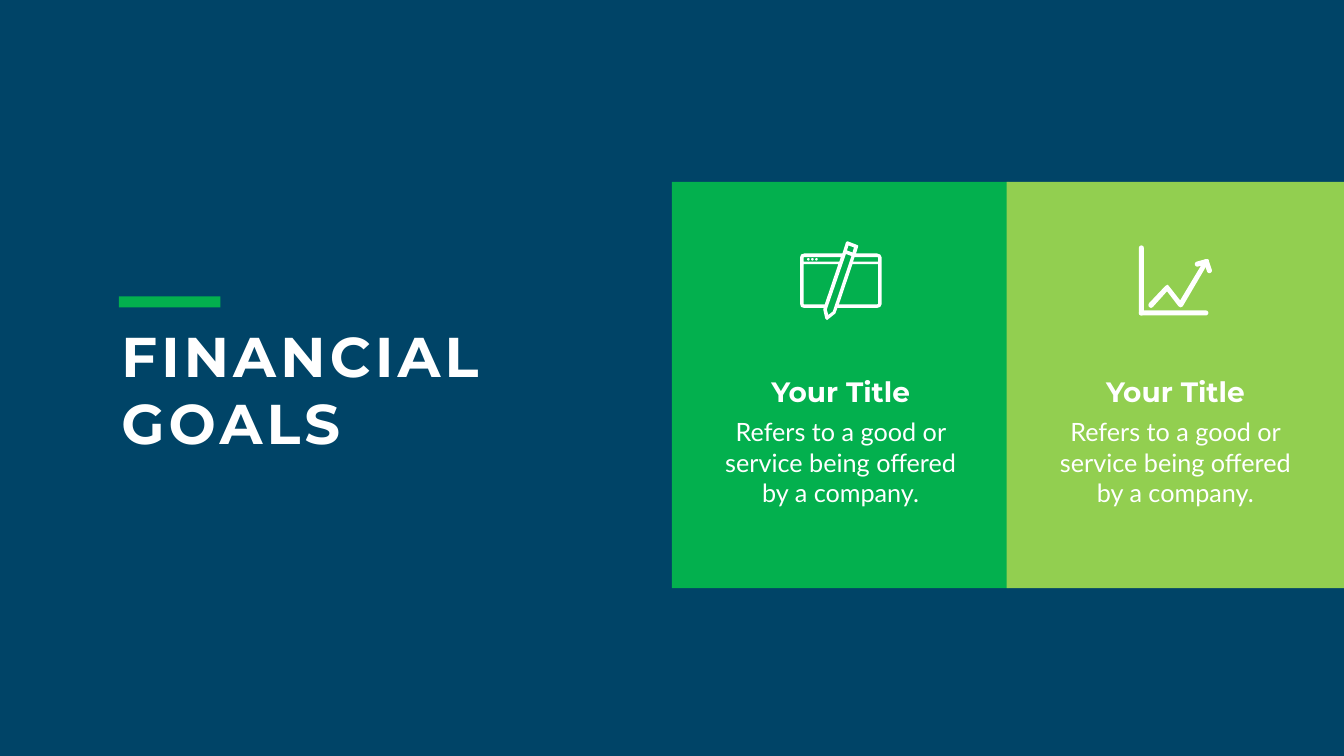
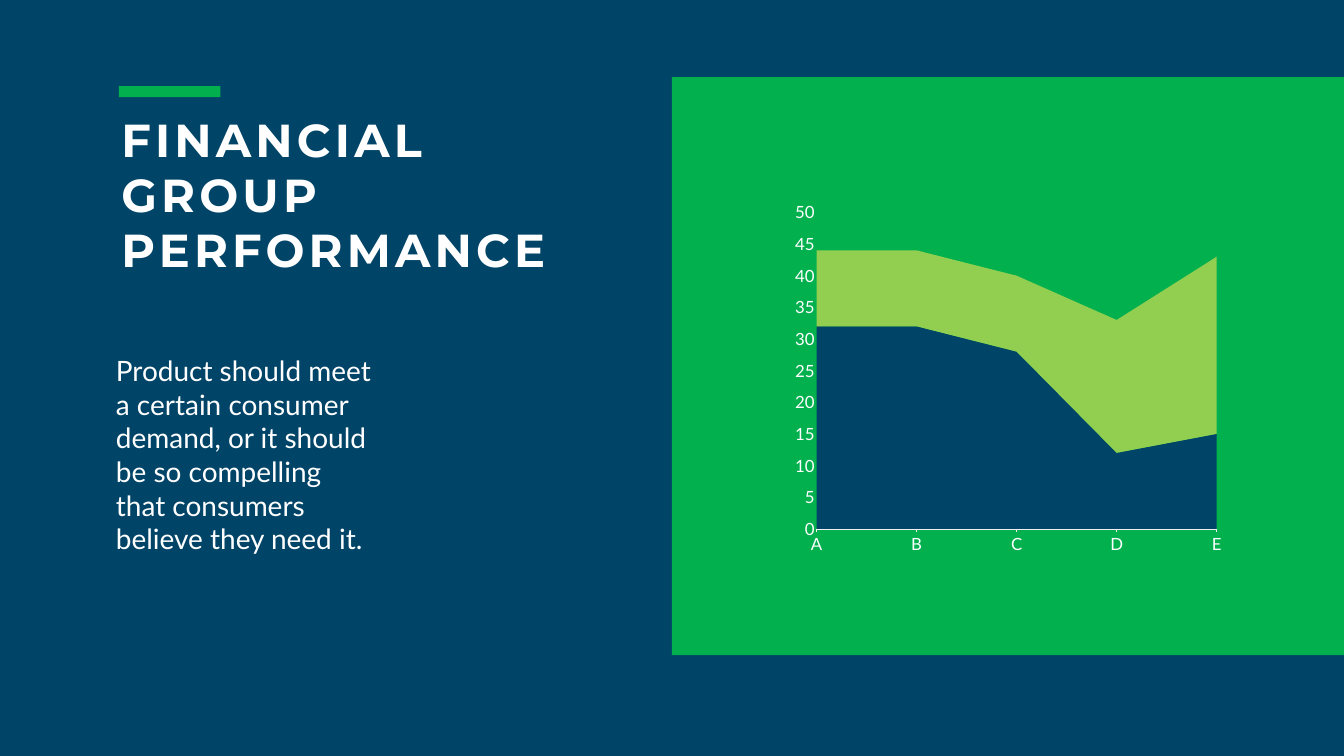
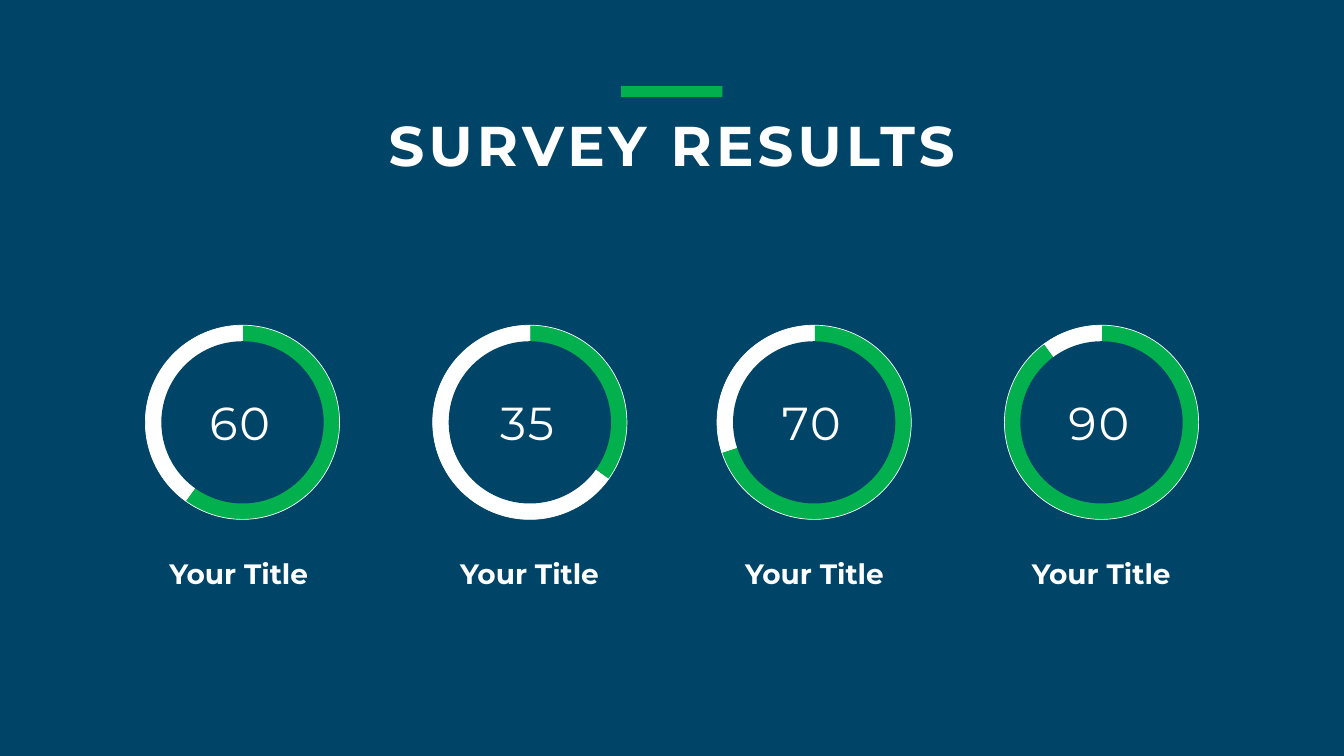
from math import atan2, cos, pi, sin

from lxml.etree import SubElement
from pptx import Presentation
from pptx.chart.data import CategoryChartData
from pptx.dml.color import RGBColor
from pptx.enum.chart import XL_CHART_TYPE, XL_TICK_MARK
from pptx.enum.shapes import MSO_SHAPE
from pptx.enum.text import MSO_AUTO_SIZE, PP_ALIGN
from pptx.oxml.ns import qn
from pptx.util import Inches, Pt

COLORS = {"navy": "004467", "green": "03B04E", "lime": "92CF50", "white": "FFFFFF", "axis": "F0F0F0"}
WIDTH, HEIGHT = 26.66, 15
MIDDLE = WIDTH / 2

HEADING = {"name": "Montserrat", "bold": True}
LABEL = {"name": "Montserrat", "size": Pt(40), "bold": True}
NUMBER = {"name": "Montserrat", "size": Pt(66)}
BODY = {"name": "Lato", "size": Pt(36)}
BODY_LARGE = {"name": "Lato", "size": Pt(40)}
AXIS_TEXT = {"name": "Lato", "size": Pt(24)}
BODY_MARGINS = {"margin_left": Inches(0.24), "margin_right": Inches(0.24),
                "margin_top": Inches(0.12), "margin_bottom": Inches(0.12)}

WINDOW_AND_PENCIL = [
    [(17.4, 6.04), (16.64, 6.04), (16.91, 5.24), (17.42, 5.24), (17.42, 6.03)],
    [(16.43, 6.25), (16.4, 6.14), (16.78, 5.04), (16.89, 5.08), (16.52, 6.18)],
    [(15.95, 6.04), (15.94, 6.03), (15.94, 5.24), (16.63, 5.24), (16.36, 6.04)],
    [(15.95, 5.1), (16.68, 5.1), (16.65, 5.19), (15.94, 5.19), (15.94, 5.11)],
    [(16.83, 4.87), (16.94, 4.91), (16.91, 5.01), (16.8, 4.97)],
    [(17.42, 5.11), (17.42, 5.19), (16.92, 5.19), (16.95, 5.1), (17.4, 5.1)],
    [(17.4, 5.03), (16.98, 5.03), (17.02, 4.9), (17.02, 4.87), (17, 4.86), (16.82, 4.79),
     (16.8, 4.79), (16.78, 4.81), (16.71, 5.03), (15.95, 5.03), (15.89, 5.05), (15.87, 5.11),
     (15.87, 6.03), (15.89, 6.09), (15.95, 6.11), (16.34, 6.11), (16.33, 6.14), (16.37, 6.32),
     (16.4, 6.35), (16.42, 6.34), (16.57, 6.22), (16.61, 6.11), (17.4, 6.11), (17.46, 6.09),
     (17.49, 6.03), (17.49, 5.11), (17.46, 5.05)],
]
ZIGZAG = [(23.42, 6.1), (23.38, 6.08), (23.15, 5.78), (22.87, 6.09), (22.83, 6.11), (22.79, 6.09),
          (22.78, 6.05), (22.79, 6.02), (23.12, 5.67), (23.16, 5.65), (23.19, 5.68), (23.41, 5.96),
          (23.89, 5.16), (23.92, 5.14), (23.96, 5.14), (23.98, 5.17), (23.97, 5.21), (23.46, 6.08)]
CHART_ICON_BARS = [(22.64, 4.92, 22.64, 6.21), (22.64, 6.21, 23.92, 6.21),
                   (23.93, 5.19, 23.99, 5.37), (23.93, 5.19, 23.75, 5.24)]


def rgb(name):
    return RGBColor.from_string(COLORS[name])


def box(left, top, width, height):
    return [Inches(v) for v in (left, top, width, height)]


def apply(target, values):
    for key, value in values.items():
        setattr(target, key, value)


def paint(sp, color):
    sp.shadow.inherit = False
    sp.fill.solid()
    sp.fill.fore_color.rgb = rgb(color)
    sp.line.fill.background()


def add_block(s, at, color, kind=MSO_SHAPE.RECTANGLE):
    paint(s.shapes.add_shape(kind, *box(*at)), color)


def add_outline(s, contours, color="white"):
    contours = [[(Inches(x), Inches(y)) for x, y in c] for c in contours]
    fb = s.shapes.build_freeform(*contours[0][0])
    fb.add_line_segments(contours[0][1:])
    for contour in contours[1:]:
        fb.move_to(*contour[0])
        fb.add_line_segments(contour[1:])
    paint(fb.convert_to_shape(), color)


def add_round_bar(s, x1, y1, x2, y2, radius=0.05):
    angle = atan2(y2 - y1, x2 - x1)
    points = []
    for x, y, start in ((x2, y2, angle - pi / 2), (x1, y1, angle + pi / 2)):
        turns = [start + i * pi / 6 for i in range(7)]
        points += [(x + radius * cos(a), y + radius * sin(a)) for a in turns]
    add_outline(s, [points])


def add_text(s, at, text, font, align=PP_ALIGN.LEFT, margins=None, spacing=0):
    tf = s.shapes.add_textbox(*box(*at)).text_frame
    apply(tf, {"word_wrap": True, "auto_size": MSO_AUTO_SIZE.SHAPE_TO_FIT_TEXT, **(margins or {})})
    p = tf.paragraphs[0]
    p.alignment = align
    r = p.add_run()
    r.text = text
    apply(r.font, font)
    r.font.color.rgb = rgb("white")
    if spacing:
        r.font._element.set("spc", str(spacing * 100))


def add_title(s, at, text, size, bar_left=2.36, align=PP_ALIGN.LEFT):
    add_text(s, at, text, {**HEADING, "size": Pt(size)}, align, spacing=6)
    add_block(s, (bar_left, at[1] - 0.44, 2.01, 0.22), "green")


def add_slide(prs):
    s = prs.slides.add_slide(prs.slide_layouts[6])
    add_block(s, (0, 0, WIDTH, HEIGHT), "navy")
    return s


def add_chart(s, kind, at, cats, series, plot):
    data = CategoryChartData()
    data.categories = cats
    for name, values in series:
        data.add_series(name, values)
    chart = s.shapes.add_chart(kind, *box(*at), data).chart
    apply(chart, {"has_title": False, "has_legend": False})
    apply(chart.font, AXIS_TEXT)
    chart.font.color.rgb = rgb("white")
    area = chart._chartSpace.chart.plotArea
    for old in area.findall(qn("c:layout")):
        area.remove(old)
    layout = SubElement(area, qn("c:layout"))
    area.insert(0, layout)
    manual = SubElement(layout, qn("c:manualLayout"))
    values = {"layoutTarget": "inner", "xMode": "edge", "yMode": "edge", **dict(zip("xywh", plot))}
    for tag, value in values.items():
        SubElement(manual, qn(f"c:{tag}")).set("val", str(value))
    return chart


def add_area_chart(s):
    series = [("Series 1", (32, 32, 28, 12, 15)), ("Series 2", (12, 12, 12, 21, 28))]
    chart = add_chart(s, XL_CHART_TYPE.AREA_STACKED, (15.58, 3.85, 8.82, 7.3),
                      list("ABCDE"), series, (0.07, 0.05, 0.9, 0.86))
    for ser, color in zip(chart.plots[0].series, ("navy", "lime")):
        ser.format.fill.solid()
        ser.format.fill.fore_color.rgb = rgb(color)
    cat, val = chart.category_axis, chart.value_axis
    for axis, tick in ((cat, XL_TICK_MARK.OUTSIDE), (val, XL_TICK_MARK.NONE)):
        apply(axis, {"major_tick_mark": tick, "minor_tick_mark": XL_TICK_MARK.NONE,
                     "has_major_gridlines": False})
        apply(axis.tick_labels.font, AXIS_TEXT)
        axis.tick_labels.font.color.rgb = rgb("white")
    cat.format.line.color.rgb = rgb("axis")
    cat.format.line.width = Pt(0.75)
    val.format.line.fill.background()
    apply(val, {"minimum_scale": 0, "maximum_scale": 50, "major_unit": 5})
    val._element.find(qn("c:crossBetween")).set("val", "midCat")


def add_ring(s, value, left, label_left):
    chart = add_chart(s, XL_CHART_TYPE.PIE, (left, 6.33, 4.96, 4.1), ["1", "2"],
                      [("Series 1", (value, 100 - value))], (0.11, 0.03, 0.78, 0.94))
    chart.plots[0].vary_by_categories = True
    for i, color in enumerate(("green", "white")):
        fmt = chart.plots[0].series[0].points[i].format
        fmt.fill.solid()
        fmt.fill.fore_color.rgb = rgb(color)
        fmt.line.color.rgb = rgb("white")
        fmt.line.width = Pt(1)
    add_block(s, (left + 0.87, 6.77, 3.22, 3.22), "navy", MSO_SHAPE.OVAL)
    add_text(s, (left + 0.87, 7.78, 3.11, 1.21), str(value), NUMBER, PP_ALIGN.CENTER, spacing=3)
    add_text(s, (label_left, 10.99, 4.15, 0.77), "Your Title", LABEL, PP_ALIGN.CENTER)


def add_card(s, left, color):
    add_block(s, (left, 3.61, 6.69, 8.06), color)
    add_text(s, (left + 0.51, 8.15, 5.67, 2.06),
             "Refers to a good or service being offered by a company.",
             BODY, PP_ALIGN.CENTER, BODY_MARGINS)
    add_text(s, (left + 0.51, 7.38, 5.67, 0.77), "Your Title", LABEL, PP_ALIGN.CENTER)


def build_goals(prs):
    s = add_slide(prs)
    add_title(s, (2.31, 6.32, 7.54, 2.79), "FINANCIAL GOALS", 80)
    for left, color in ((MIDDLE, "green"), (19.97, "lime")):
        add_card(s, left, color)
    add_outline(s, WINDOW_AND_PENCIL)
    for i in range(3):
        add_block(s, (16.01 + i * 0.08, 5.12, 0.05, 0.05), "white", MSO_SHAPE.OVAL)
    for bar in CHART_ICON_BARS:
        add_round_bar(s, *bar)
    add_outline(s, [ZIGZAG])


def build_performance(prs):
    s = add_slide(prs)
    add_block(s, (MIDDLE, 1.53, MIDDLE, 11.47), "green")
    add_text(s, (2.06, 6.9, 5.57, 4.28),
             "Product should meet a certain consumer demand, or it should be so compelling "
             "that consumers believe they need it.", BODY_LARGE, margins=BODY_MARGINS)
    add_area_chart(s)
    add_title(s, (2.31, 2.15, 8.95, 3.43), "FINANCIAL GROUP PERFORMANCE", 66)


def build_survey(prs):
    s = add_slide(prs)
    for ring in ((60, 2.33, 2.66), (35, 8.03, 8.43), (70, 13.67, 14.08), (90, 19.37, 19.77)):
        add_ring(s, *ring)
    add_title(s, (6.77, 2.15, 13.12, 1.45), "SURVEY RESULTS", 80, 12.32, PP_ALIGN.CENTER)


def main():
    prs = Presentation()
    apply(prs, {"slide_width": Inches(WIDTH), "slide_height": Inches(HEIGHT)})
    for build in (build_goals, build_performance, build_survey):
        build(prs)
    prs.save("out.pptx")


if __name__ == "__main__":
    main()
